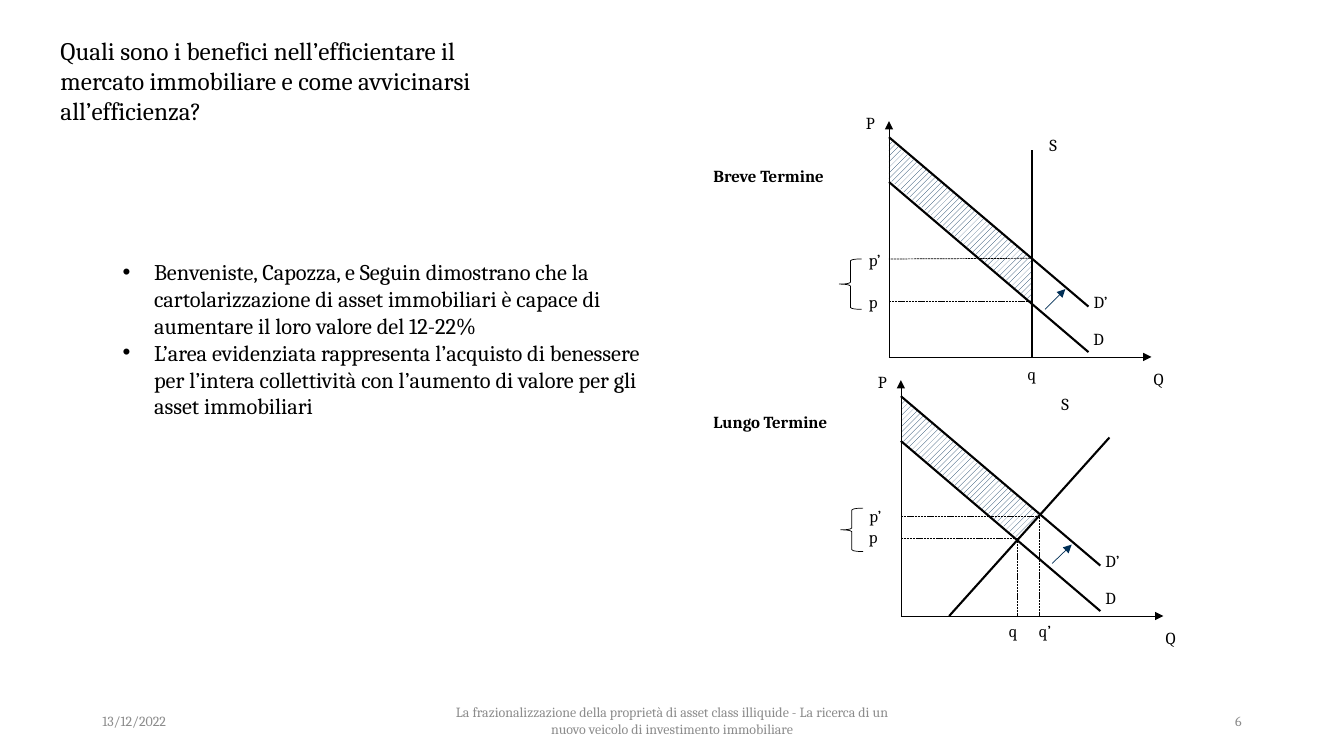
import pptx
import pptx.util
import pptx.dml.color
import pptx.enum.dml
import pptx.enum.shapes
import pptx.enum.text
from lxml import etree

Pt = pptx.util.Pt
RGBColor = pptx.dml.color.RGBColor
ALIGN = pptx.enum.text.PP_ALIGN
ANCHOR = pptx.enum.text.MSO_ANCHOR
AUTO_SIZE = pptx.enum.text.MSO_AUTO_SIZE

BLACK = RGBColor(0x00, 0x00, 0x00)
WHITE = RGBColor(0xFF, 0xFF, 0xFF)
GREY = RGBColor(0x8C, 0x8C, 0x8C)
NAVY = RGBColor(0x00, 0x2F, 0x56)
FONT = "Cambria"

TITLE = ("Quali sono i benefici nell’efficientare il mercato immobiliare "
         "e come avvicinarsi all’efficienza?")
BULLETS = [
    "Benveniste, Capozza, e Seguin dimostrano che la cartolarizzazione di asset "
    "immobiliari è capace di aumentare il loro valore del 12-22%",
    "L’area evidenziata rappresenta l’acquisto di benessere per l’intera collettività "
    "con l’aumento di valore per gli asset immobiliari",
]
FOOTERS = [
    ("13/12/2022", 66, 216, ALIGN.LEFT),
    ("La frazionalizzazione della proprietà di asset class illiquide - La ricerca di un "
     "nuovo veicolo di investimento immobiliare", 318, 324, ALIGN.CENTER),
    ("6", 678, 216, ALIGN.RIGHT),
]

AXES = [(0, 0, 0, -168.5), (0, 0, 187.5, 0)]
DEMAND_CURVES = [(142.5, -36, 0, -157), (142.5, -3.5, 0, -125)]
CURVE_LABELS = [
    ("P", -23.5, -179, 17), ("Q", 182, 4, 18), ("S", 107.5, -163, 17),
    ("D", 139, -25, 17), ("D’", 139, -51, 32),
]
CHARTS = [
    {
        "heading": ("Breve Termine", 502.5, 113.5),
        "origin": (635, 255),
        "area": [(0, -155.5), (0, -127), (101.5, -39.5), (103, -70.5)],
        "supply": (102, 0, 102, -147.5),
        "guides": [(103, -70.5, 0, -70), (101.5, -39.5, 0, -39.5)],
        "shift": (111.5, -34, 126, -48.5),
        "labels": [("p’", -21.5, -81, 30), ("p", -21.5, -51, 30), ("q", 92, 0.5, 30)],
        "brace": (-35.5, -70, 36),
    },
    {
        "heading": ("Lungo Termine", 502.5, 289.5),
        "origin": (643.5, 440),
        "area": [(0.5, -155.5), (0.5, -125.5), (83.5, -55.5), (99, -72)],
        "supply": (34.5, 0, 149, -127.5),
        "guides": [(83.5, -55.5, 83.5, 0), (99, -70.5, 99, 0),
                   (83.5, -55.5, 0, -55.5), (97.5, -71.5, 0, -71.5)],
        "shift": (108, -37.5, 122, -51),
        "labels": [("p’", -29.5, -83.5, 30), ("p", -30, -68, 30),
                   ("q", 70, -1.5, 30), ("q’", 91.5, -1.5, 30)],
        "brace": (-43, -77, 31),
    },
]

presentation = pptx.Presentation()
presentation.slide_width = Pt(960)
presentation.slide_height = Pt(540)
slide = presentation.slides.add_slide(presentation.slide_layouts[5])
shapes = slide.shapes


def add_run(paragraph, text, size, color=BLACK, bold=False):
    run = paragraph.add_run()
    run.text = text
    run.font.name = FONT
    run.font.size = Pt(size)
    run.font.bold = bold
    run.font.color.rgb = color


def add_box(left, top, width, height, anchor=ANCHOR.TOP):
    frame = shapes.add_textbox(Pt(left), Pt(top), Pt(width), Pt(height)).text_frame
    frame.word_wrap = True
    frame.vertical_anchor = anchor
    return frame


def add_label(text, left, top, width, bold=False):
    frame = add_box(left, top, width, 22.5)
    frame.auto_size = AUTO_SIZE.SHAPE_TO_FIT_TEXT
    paragraph = frame.paragraphs[0]
    paragraph.line_spacing = 1.07
    paragraph.space_after = Pt(8)
    add_run(paragraph, text, 12, bold=bold)


def add_line(origin, ends, width=0.5, color=BLACK, arrow=False, dashed=False):
    x, y = origin
    x1, y1, x2, y2 = ends
    connector = shapes.add_connector(
        pptx.enum.shapes.MSO_CONNECTOR.STRAIGHT,
        Pt(x + x1), Pt(y + y1), Pt(x + x2), Pt(y + y2))
    connector.line.width = Pt(width)
    connector.line.color.rgb = color
    if dashed:
        connector.line.dash_style = pptx.enum.dml.MSO_LINE.SQUARE_DOT
        connector.line.dash_style = pptx.enum.dml.MSO_LINE.SQUARE_DOT
    if arrow:
        tail = etree.SubElement(connector.line._get_or_add_ln(),
                                pptx.oxml.ns.qn("a:tailEnd"))
        tail.set("type", "triangle")
    etree.SubElement(connector._element.spPr, pptx.oxml.ns.qn("a:effectLst"))


def add_area(origin, corners):
    points = [(Pt(origin[0] + x), Pt(origin[1] + y)) for x, y in corners]
    builder = shapes.build_freeform(*points[0])
    builder.add_line_segments(points[1:], close=True)
    area = builder.convert_to_shape()
    area.shadow.inherit = False
    area.line.fill.background()
    area.fill.patterned()
    area.fill.pattern = pptx.enum.dml.MSO_PATTERN.WIDE_UPWARD_DIAGONAL
    area.fill.fore_color.rgb = NAVY
    area.fill.back_color.rgb = WHITE


def add_brace(origin, left, top, height):
    brace = shapes.add_shape(
        pptx.enum.shapes.MSO_SHAPE.LEFT_BRACE,
        Pt(origin[0] + left), Pt(origin[1] + top), Pt(16), Pt(height))
    brace.shadow.inherit = False
    brace.fill.background()
    brace.line.color.rgb = BLACK
    brace.line.width = Pt(0.5)


def add_market_chart(chart):
    origin = chart["origin"]
    add_area(origin, chart["area"])
    for axis in AXES:
        add_line(origin, axis, arrow=True)
    for curve in DEMAND_CURVES + [chart["supply"]]:
        add_line(origin, curve, width=1.5)
    for guide in chart["guides"]:
        add_line(origin, guide, dashed=True)
    add_line(origin, chart["shift"], color=NAVY, arrow=True)
    add_brace(origin, *chart["brace"])
    for text, left, top, width in CURVE_LABELS + chart["labels"]:
        add_label(text, origin[0] + left, origin[1] + top, width)
    add_label(*chart["heading"], 120, bold=True)


title = shapes.title
title.left, title.top, title.width, title.height = Pt(36), Pt(21.5), Pt(331), Pt(78)
title.text_frame.word_wrap = True
title.text_frame.auto_size = AUTO_SIZE.NONE
title.text_frame.vertical_anchor = ANCHOR.TOP
title.text_frame.paragraphs[0].alignment = ALIGN.LEFT
add_run(title.text_frame.paragraphs[0], TITLE, 18)

body = add_box(80.5, 42.5, 396, 399, ANCHOR.MIDDLE)
for index, text in enumerate(BULLETS):
    paragraph = body.paragraphs[0] if index == 0 else body.add_paragraph()
    properties = paragraph._p.get_or_add_pPr()
    properties.set("marL", str(Pt(22.5)))
    properties.set("indent", str(Pt(-22.5)))
    etree.SubElement(properties, pptx.oxml.ns.qn("a:buFont")).set("typeface", "Arial")
    etree.SubElement(properties, pptx.oxml.ns.qn("a:buChar")).set("char", "•")
    add_run(paragraph, text, 16)

for chart in CHARTS:
    add_market_chart(chart)

for text, left, width, alignment in FOOTERS:
    paragraph = add_box(left, 500.5, width, 28.5, ANCHOR.MIDDLE).paragraphs[0]
    paragraph.alignment = alignment
    add_run(paragraph, text, 10, GREY)

presentation.save("out.pptx")
